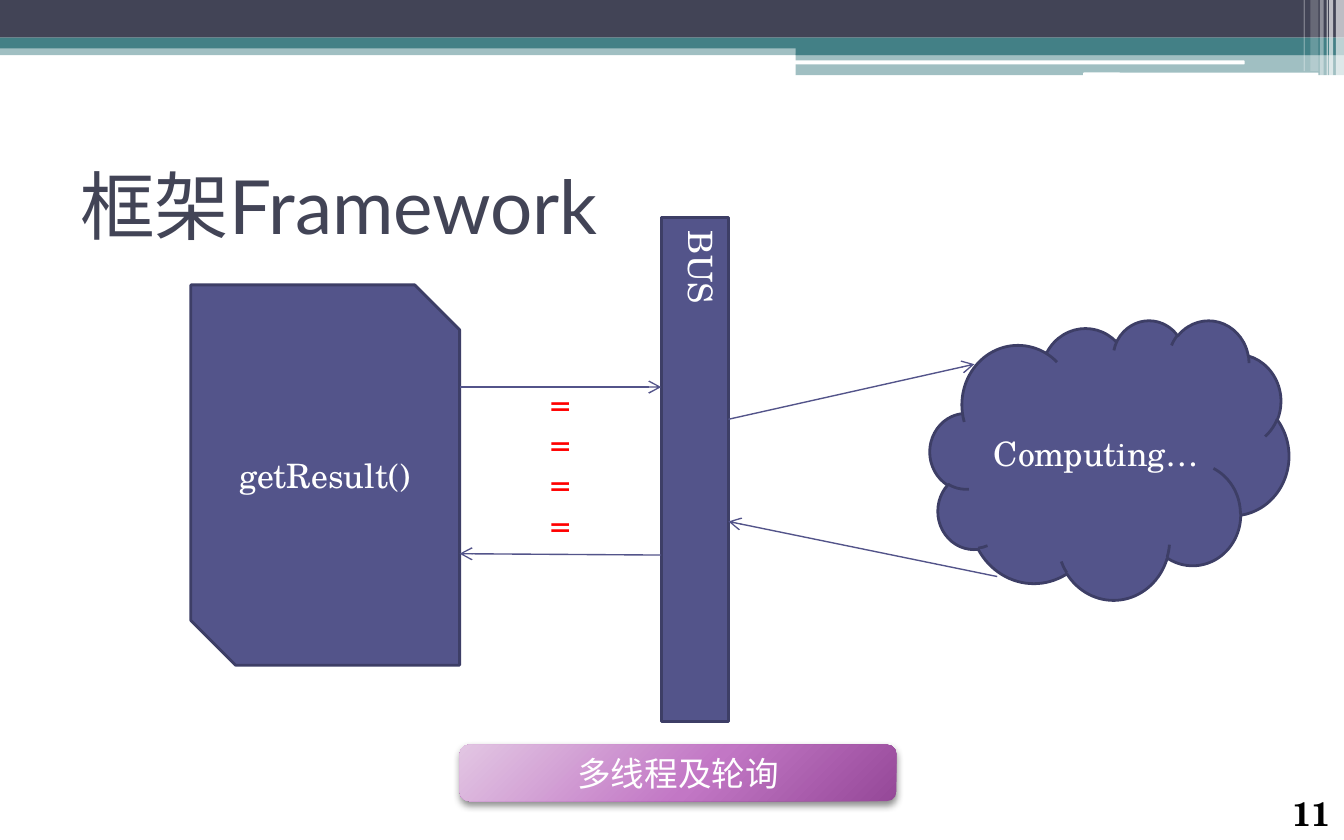
import pptx
import pptx.dml.color
import pptx.enum.shapes
import pptx.enum.text
import pptx.oxml
import pptx.oxml.ns
import pptx.util
from pptx.util import Inches

SHAPE = pptx.enum.shapes.MSO_SHAPE
ANCHOR = pptx.enum.text.MSO_ANCHOR
ALIGN = pptx.enum.text.PP_ALIGN
BODY_FONT = "TeX Gyre Schola"
TITLE_FONT = "Lato"
COLORS = {
    "dark": "424456",
    "teal": "438086",
    "white": "FFFFFF",
    "black": "000000",
    "red": "FF0000",
    "node": "53548A",
    "edge": "3D3E66",
}
CAPTION_STOPS = [(0, "E2C6E3"), (55, "C277C5"), (100, "954898")]


def rgb(name):
    return pptx.dml.color.RGBColor.from_string(COLORS[name])


def drawing_xml(content):
    return pptx.oxml.parse_xml(content.replace(">", f" {pptx.oxml.ns.nsdecls('a')}>", 1))


def add_shape(slide, kind, box, fill):
    shape = slide.shapes.add_shape(kind, *map(Inches, box))
    shape.shadow.inherit = False
    shape.line.fill.background()
    shape.fill.solid()
    shape.fill.fore_color.rgb = rgb(fill)
    return shape


def add_band(slide, box, fill, opacity=100, kind=SHAPE.RECTANGLE):
    band = add_shape(slide, kind, box, fill)
    if opacity < 100:
        color = band.fill._xPr.find(".//" + pptx.oxml.ns.qn("a:srgbClr"))
        color.append(drawing_xml(f'<a:alpha val="{opacity * 1000}"></a:alpha>'))


def write(shape, text, color="white", size=18, font=BODY_FONT, bold=False,
          align=ALIGN.CENTER, anchor=ANCHOR.MIDDLE, grow=False):
    frame = shape.text_frame
    frame.word_wrap = True
    frame.vertical_anchor = anchor
    if grow:
        frame.auto_size = pptx.enum.text.MSO_AUTO_SIZE.SHAPE_TO_FIT_TEXT
    paragraph = frame.paragraphs[0]
    paragraph.alignment = align
    run = paragraph.add_run()
    run.text = text
    run.font.name = font
    run.font.size = pptx.util.Pt(size)
    run.font.bold = bold
    run.font.color.rgb = rgb(color)


def add_label(slide, box, text, **style):
    write(slide.shapes.add_textbox(*map(Inches, box)), text, **style)


def add_node(slide, kind, box, text, **style):
    node = add_shape(slide, kind, box, "node")
    node.line.color.rgb = rgb("edge")
    node.line.width = pptx.util.Pt(1.5)
    write(node, text, **style)
    return node


def add_arrow(slide, start, end):
    arrow = slide.shapes.add_connector(
        pptx.enum.shapes.MSO_CONNECTOR.STRAIGHT, *map(Inches, start + end))
    arrow.line.color.rgb = rgb("node")
    arrow.line.width = pptx.util.Pt(0.75)
    arrow.line._get_or_add_ln().append(drawing_xml('<a:tailEnd type="arrow"></a:tailEnd>'))
    arrow._element.spPr.append(drawing_xml("<a:effectLst></a:effectLst>"))


def add_caption(slide, box, text):
    """Rounded bar with a radial gradient and a soft shadow below."""
    caption = add_shape(slide, SHAPE.ROUNDED_RECTANGLE, box, "node")
    stops = "".join(f'<a:gs pos="{pos * 1000}"><a:srgbClr val="{color}"/></a:gs>'
                    for pos, color in CAPTION_STOPS)
    gradient = drawing_xml(
        f'<a:gradFill rotWithShape="1"><a:gsLst>{stops}</a:gsLst><a:path path="circle">'
        '<a:fillToRect l="-40000" t="-90000" r="140000" b="190000"/></a:path></a:gradFill>')
    properties = caption._element.spPr
    properties.replace(properties.find(pptx.oxml.ns.qn("a:solidFill")), gradient)
    properties.find(pptx.oxml.ns.qn("a:effectLst")).append(drawing_xml(
        '<a:outerShdw blurRad="50800" dist="25400" dir="5400000" rotWithShape="0">'
        f'<a:srgbClr val="{COLORS["black"]}"><a:alpha val="45000"/></a:srgbClr></a:outerShdw>'))
    write(caption, text)


def add_header(slide):
    add_band(slide, (0, 0.33, 10, 0.08), "teal", 50)
    add_band(slide, (0, 0, 10, 0.28), "dark")
    add_band(slide, (0, 0.28, 10, 0.08), "teal")
    add_band(slide, (5.92, 0.33, 4.08, 0.08), "teal")
    add_band(slide, (5.92, 0.4, 4.08, 0.16), "teal", 50)
    for box in ((5.91, 0.45, 3.35, 0.03), (8.06, 0.54, 1.75, 0.03)):
        add_band(slide, box, "white", kind=SHAPE.ROUNDED_RECTANGLE)
    for left, width, height, opacity in (
            (9.94, 0.06, 0.57, 65), (9.89, 0.03, 0.57, 65), (9.87, 0.01, 0.57, 60),
            (9.82, 0.03, 0.57, 40), (9.75, 0.06, 0.53, 20), (9.7, 0.01, 0.53, 30)):
        add_band(slide, (left, 0, width, height), "white", opacity)


def add_diagram(slide):
    add_node(slide, SHAPE.SNIP_2_DIAG_RECTANGLE, (1.42, 2.12, 2, 2.83), "getResult()")
    bus = add_node(slide, SHAPE.RECTANGLE, (4.92, 1.62, 0.5, 3.75), "BUS",
                   anchor=ANCHOR.TOP, grow=True)
    bus.text_frame._txBody.bodyPr.set("vert", "eaVert")
    add_arrow(slide, (3.42, 2.88), (4.92, 2.88))
    add_arrow(slide, (4.92, 4.13), (3.42, 4.12))
    add_node(slide, SHAPE.CLOUD, (6.92, 2.38, 2.67, 2.08), "Computing…")
    add_arrow(slide, (5.42, 3.12), (7.25, 2.71))
    add_arrow(slide, (7.42, 4.29), (5.42, 3.88))
    add_label(slide, (4, 2.79, 0.33, 1.31), "====", color="red",
              align=ALIGN.LEFT, anchor=ANCHOR.TOP, grow=True)


def main():
    deck = pptx.Presentation()
    deck.slide_width, deck.slide_height = Inches(10), Inches(6.25)
    slide = deck.slides.add_slide(deck.slide_layouts[6])
    add_header(slide)
    add_label(slide, (0.5, 1.04, 9, 0.97), "框架Framework", color="dark", size=40,
              font=TITLE_FONT, align=ALIGN.LEFT)
    add_caption(slide, (3.42, 5.54, 3.25, 0.42), "多线程及轮询")
    add_diagram(slide)
    add_label(slide, (9.17, 5.92, 0.83, 0.33), "11", color="black", bold=True,
              align=ALIGN.RIGHT, anchor=ANCHOR.BOTTOM)
    deck.save("out.pptx")


if __name__ == "__main__":
    main()
